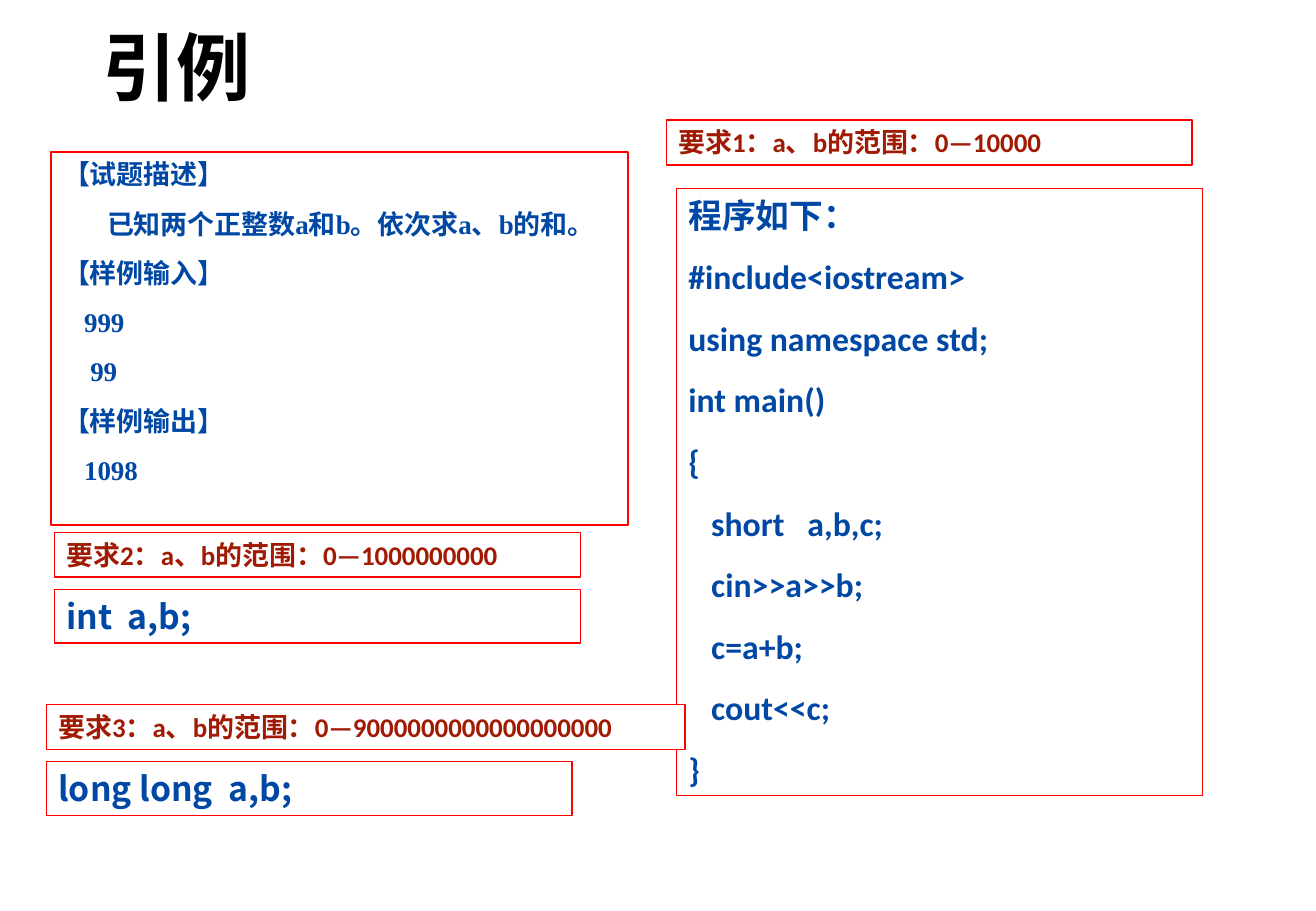
import pptx
import pptx.dml.color
import pptx.enum.shapes
import pptx.enum.text
import pptx.oxml.ns
import pptx.util
from lxml import etree

Cm = pptx.util.Cm
Pt = pptx.util.Pt

COLOURS = {"title": "000000", "text": "0048A4", "task": "A11A03",
           "frame": "FF0000", "paper": "FFFFFF"}
CHINESE_FONT = "Noto Sans CJK SC"
FORMATS = {
    "title": {"name": "Arial", "size": Pt(44), "bold": True},
    "problem": {"name": "Times New Roman", "size": Pt(16), "bold": True},
    "program": {"name": "Calibri", "size": Pt(20), "bold": True},
    "task": {"name": "Calibri", "size": Pt(16), "bold": True},
    "answer": {"name": CHINESE_FONT, "size": Pt(20), "bold": True},
}
SPACES = {"title": 0, "problem": 10, "program": 12.5, "task": 10, "answer": 12.5}

PROBLEM = ["【试题描述】", "已知两个正整数a和b。依次求a、b的和。", "【样例输入】",
           "999", "99", "【样例输出】", "1098"]
PROBLEM_INDENTS = {1: (0, 0.92), 3: (0.44, 0), 4: (0.57, 0), 6: (0.44, 0)}
PROGRAM = ["程序如下：", "#include<iostream>", "using namespace std;",
           "int main()", "{", "   short   a,b,c;", "   cin>>a>>b;",
           "   c=a+b;", "   cout<<c;", "}"]
TASKS = [
    (13.94, 2.51, 11, "要求1：a、b的范围：0—10000", None),
    (1.14, 11.13, 11, "要求2：a、b的范围：0—1000000000", "int  a,b;"),
    (0.97, 14.73, 13.36, "要求3：a、b的范围：0—9000000000000000000", "long long  a,b;"),
]


def colour(name):
    """Return the named colour."""
    return pptx.dml.color.RGBColor.from_string(COLOURS[name])


def indent(para, left, first):
    """Set the left margin and first-line indent in centimetres."""
    properties = para._p.get_or_add_pPr()
    properties.set("marL", str(Cm(left)))
    properties.set("indent", str(Cm(first)))


def write(frame, lines, style, ink, indents=None):
    """Fill a text frame with one paragraph per line."""
    frame.word_wrap = True
    for index, line in enumerate(lines):
        para = frame.add_paragraph() if index else frame.paragraphs[0]
        para.alignment = pptx.enum.text.PP_ALIGN.LEFT
        para.line_spacing = Pt(FORMATS[style]["size"].pt * 1.2)
        para.space_before = Pt(SPACES[style] if index else 0)
        indent(para, *(indents or {}).get(index, (0, 0)))
        span = para.add_run()
        span.text = line
        for name, value in FORMATS[style].items():
            setattr(span.font, name, value)
        span.font.color.rgb = colour(ink)
        east_asian = etree.SubElement(span.font._element, pptx.oxml.ns.qn("a:ea"))
        east_asian.set("typeface", CHINESE_FONT)


def add_title(page, text):
    """Add the page title."""
    box = page.shapes.add_textbox(Cm(1.9), Cm(0.43), Cm(25), Cm(1.9))
    box.text_frame.vertical_anchor = pptx.enum.text.MSO_ANCHOR.MIDDLE
    write(box.text_frame, [text], "title", "title")


def add_panel(page, place, lines, style, ink="text", indents=None):
    """Add a white text panel with a red frame."""
    box = page.shapes.add_shape(pptx.enum.shapes.MSO_SHAPE.RECTANGLE,
                                *[Cm(length) for length in place])
    box.shadow.inherit = False
    box.fill.solid()
    box.fill.fore_color.rgb = colour("paper")
    box.line.color.rgb = colour("frame")
    box.line.width = Pt(0.75)
    box.text_frame.vertical_anchor = pptx.enum.text.MSO_ANCHOR.TOP
    write(box.text_frame, lines, style, ink, indents)
    box.text_frame.auto_size = pptx.enum.text.MSO_AUTO_SIZE.SHAPE_TO_FIT_TEXT


def add_task(page, left, top, width, task, answer):
    """Add a requirement and the declaration that answers it."""
    add_panel(page, (left, top, width, 0.94), [task], "task", "task")
    if answer:
        add_panel(page, (left, top + 1.2, 11, 1.12), [answer], "answer")


def main():
    """Build and save the deck."""
    deck = pptx.Presentation()
    deck.slide_width, deck.slide_height = Cm(27.53), Cm(19.05)
    page = deck.slides.add_slide(deck.slide_layouts[6])
    add_title(page, "引例")
    add_panel(page, (1.07, 3.18, 12.07, 7.8), PROBLEM, "problem",
              indents=PROBLEM_INDENTS)
    add_panel(page, (14.15, 3.94, 11, 12.7), PROGRAM, "program")
    for task in TASKS:
        add_task(page, *task)
    deck.save("out.pptx")


if __name__ == "__main__":
    main()
